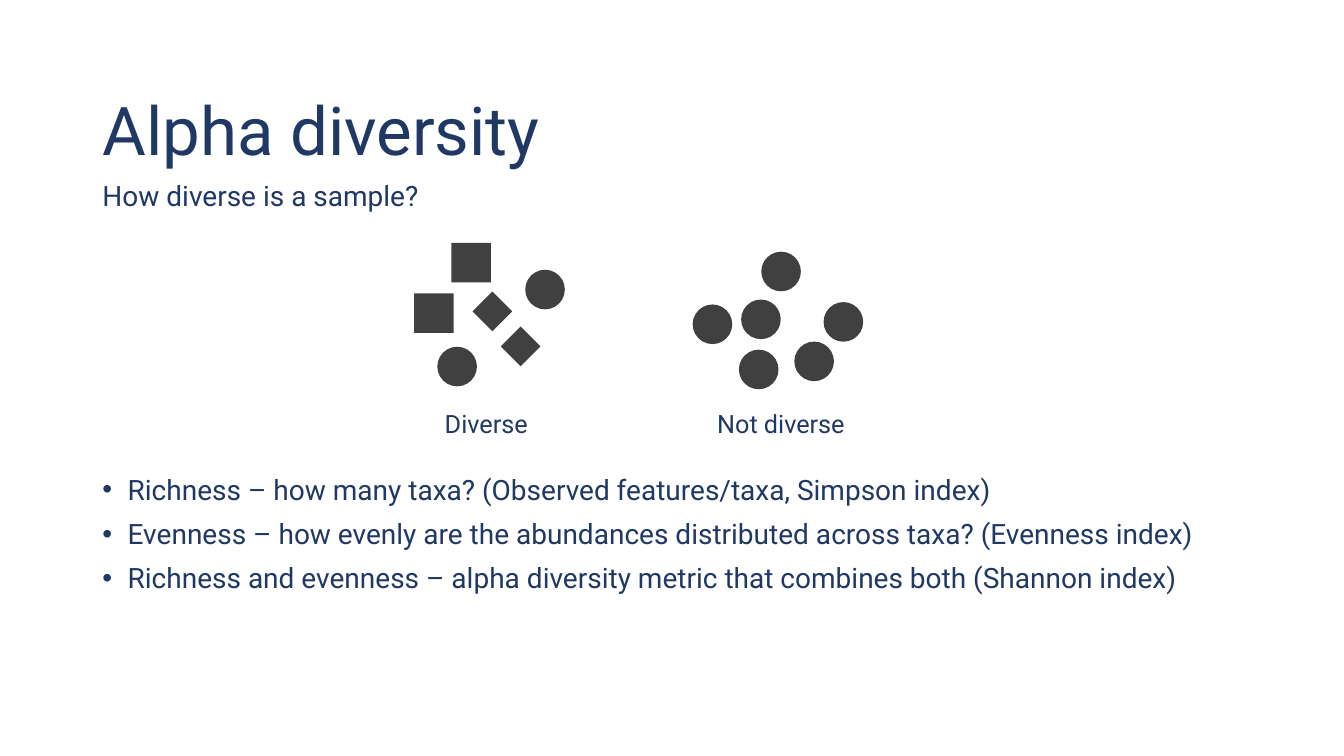
from dataclasses import dataclass

import lxml.etree
import pptx
import pptx.dml.color
import pptx.enum.shapes
import pptx.enum.text
import pptx.oxml.ns
import pptx.util

Pt = pptx.util.Pt
Shape = pptx.enum.shapes.MSO_SHAPE
Anchor = pptx.enum.text.MSO_ANCHOR
Align = pptx.enum.text.PP_ALIGN


@dataclass(frozen=True)
class Theme:
    """Colours, font and type sizes of the slide."""
    font: str = "Roboto"
    ink: str = "203864"
    marker: str = "404040"
    title_size: float = 48
    body_size: float = 20
    label_size: float = 18
    marker_size: float = 28.3


THEME = Theme()

DIVERSE_MARKERS = [
    (Shape.RECTANGLE, 26.6, 0), (Shape.RECTANGLE, 0, 36),
    (Shape.OVAL, 79.4, 19.2), (Shape.OVAL, 16.6, 74.2),
    (Shape.DIAMOND, 41.8, 34.8), (Shape.DIAMOND, 62, 59.8),
]
UNIFORM_MARKERS = [
    (Shape.OVAL, x, y)
    for x, y in [(34.6, 40.5), (49, 6.3), (33, 76.3), (72.6, 70.5), (93.5, 42.3), (0, 44)]
]
METRICS = [
    "Richness – how many taxa? (Observed features/taxa, Simpson index)",
    "Evenness – how evenly are the abundances distributed across taxa? (Evenness index)",
    "Richness and evenness – alpha diversity metric that combines both (Shannon index)",
]


def set_bullet(paragraph, bullet, indent):
    """Give a paragraph a hanging bullet, or none when bullet is empty."""
    properties = paragraph._p.get_or_add_pPr()
    properties.set("marL", str(Pt(indent)))
    properties.set("indent", str(-Pt(indent)))
    tag = "a:buChar" if bullet else "a:buNone"
    element = lxml.etree.SubElement(properties, pptx.oxml.ns.qn(tag))
    if bullet:
        element.set("char", bullet)


def write_text(shape, lines, size, anchor=Anchor.TOP, alignment=Align.LEFT,
               line_spacing=0.9, space_before=0, bullet="", indent=0, wrap=True):
    """Write one formatted paragraph per line into a shape."""
    frame = shape.text_frame
    frame.text = "\n".join(lines)
    frame.word_wrap = wrap
    frame.auto_size = pptx.enum.text.MSO_AUTO_SIZE.NONE
    frame.vertical_anchor = anchor
    for paragraph in frame.paragraphs:
        paragraph.alignment = alignment
        paragraph.line_spacing = line_spacing
        paragraph.space_before = Pt(space_before)
        set_bullet(paragraph, bullet, indent)
        font = paragraph.runs[0].font
        font.name, font.size = THEME.font, Pt(size)
        font.color.rgb = pptx.dml.color.RGBColor.from_string(THEME.ink)


def place(shape, left, top, width, height):
    """Move a shape to a box given in points."""
    shape.left, shape.top = Pt(left), Pt(top)
    shape.width, shape.height = Pt(width), Pt(height)


def add_heading(slide, left, top, width):
    """Place the title and the question beneath it."""
    title, question = slide.shapes.title, slide.placeholders[1]
    place(title, left, top, width, 104.4)
    write_text(title, ["Alpha diversity"], THEME.title_size, anchor=Anchor.MIDDLE)
    place(question, left, top + 83.5, width, 41)
    write_text(question, ["How diverse is a sample?"], THEME.body_size, space_before=10)


def add_sample(slide, left, top, markers, label, label_center):
    """Draw a cluster of markers with its label beneath."""
    color = pptx.dml.color.RGBColor.from_string(THEME.marker)
    side = Pt(THEME.marker_size)
    for kind, x, y in markers:
        marker = slide.shapes.add_shape(kind, Pt(left + x), Pt(top + y), side, side)
        marker.shadow.inherit = False
        marker.fill.solid()
        marker.fill.fore_color.rgb = color
        marker.line.fill.background()
    width = 107
    caption = slide.shapes.add_textbox(
        Pt(left + label_center - width / 2), Pt(top + 114.5), Pt(width), Pt(29))
    write_text(caption, [label], THEME.label_size, alignment=Align.CENTER,
               line_spacing=1.0, wrap=False)


def add_metrics(slide, left, top, width):
    """Place the bulleted list of diversity metrics."""
    metrics = slide.placeholders[2]
    place(metrics, left, top, width, 108.7)
    write_text(metrics, METRICS, THEME.body_size, space_before=10, bullet="•", indent=18)


def main():
    """Build and save the slide."""
    presentation = pptx.Presentation()
    presentation.slide_width, presentation.slide_height = Pt(960), Pt(540)
    slide = presentation.slides.add_slide(presentation.slide_layouts[3])
    left, width = 66, 828
    add_heading(slide, left, 43, width)
    add_sample(slide, 295.8, 173.5, DIVERSE_MARKERS, "Diverse", 51.5)
    add_sample(slide, 494.8, 173.5, UNIFORM_MARKERS, "Not diverse", 63)
    add_metrics(slide, left, 336.3, width)
    presentation.save("out.pptx")


if __name__ == "__main__":
    main()
